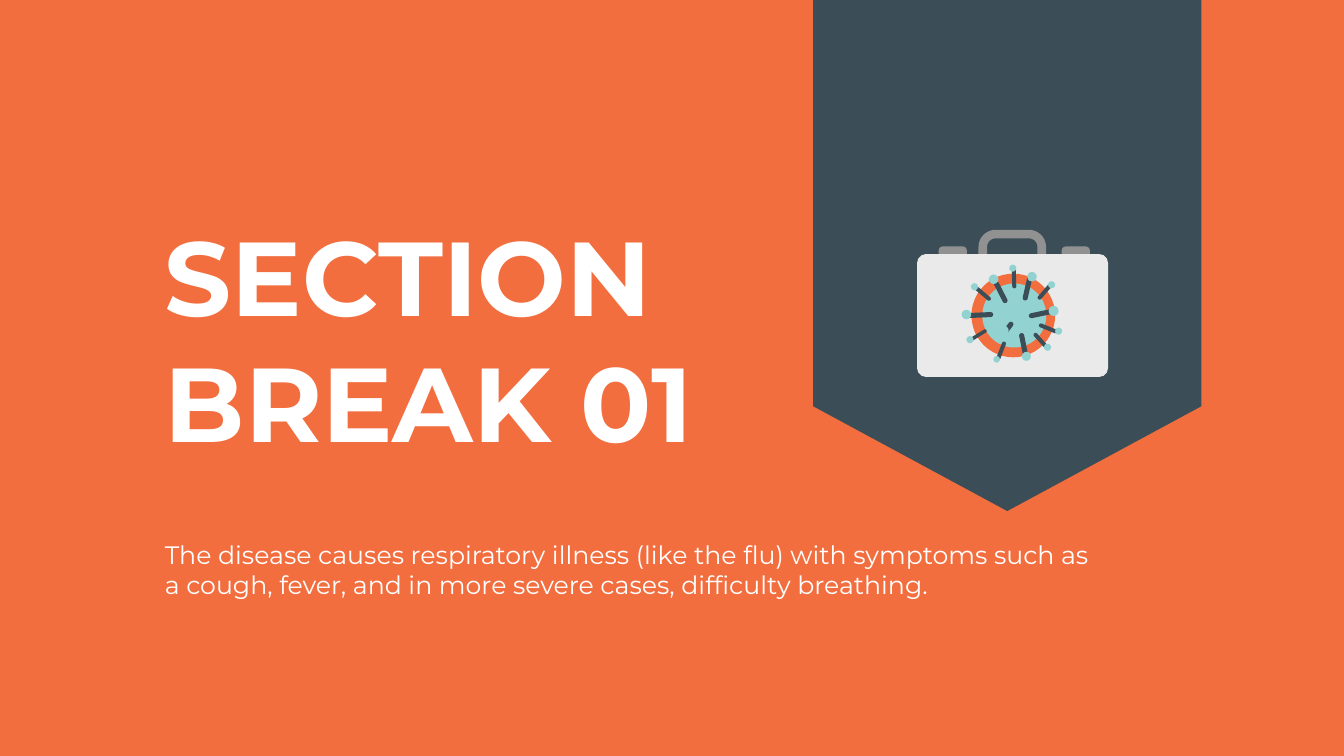
from math import atan2, cos, degrees, hypot, radians, sin

from pptx import Presentation
from pptx.dml.color import RGBColor
from pptx.enum.shapes import MSO_SHAPE as Shape
from pptx.enum.text import MSO_ANCHOR as Anchor, PP_ALIGN as Align
from pptx.util import Inches, Pt

COLORS = {
    "orange": "F36E3F",
    "slate": "3B4D56",
    "gray": "919191",
    "case": "EAEAEA",
    "teal": "92D2D1",
    "white": "FFFFFF",
}
FONT = "Montserrat"

TITLE = ["SECTION", "BREAK 01"]
BODY = [
    "The disease causes respiratory illness (like the flu) with symptoms such as",
    "a cough, fever, and in more severe cases, difficulty breathing.",
]

# Left, top, width, height, corner radius, colour
CASE_PARTS = [
    (18.62, 4.89, 0.56, 0.36, 0.08, "gray"),
    (21.06, 4.89, 0.56, 0.36, 0.08, "gray"),
    (18.19, 5.04, 3.79, 2.44, 0.18, "case"),
]
# Centre x, centre y, outer radius, straight leg length, thickness
HANDLE = (20.08, 4.56, 0.67, 5.09, 0.17)

# Centre x, centre y, diameter, colour
VIRUS_BODY = [(20.1, 6.26, 1.66, "orange"), (20.12, 6.26, 1.27, "teal")]

# Inner end, outer end, thickness, tip centre, tip diameter
SPIKES = [
    ((20.33, 5.94), (20.43, 5.5), 0.1, (20.47, 5.49), 0.19),
    ((19.95, 5.99), (19.75, 5.6), 0.1, (19.71, 5.54), 0.19),
    ((20.26, 6.63), (20.35, 7.08), 0.1, (20.36, 7.07), 0.18),
    ((20.61, 5.92), (20.85, 5.64), 0.08, (20.86, 5.65), 0.14),
    ((20.12, 5.7), (20.11, 5.34), 0.08, (20.09, 5.32), 0.14),
    ((20.53, 6.63), (20.77, 6.9), 0.08, (20.78, 6.89), 0.14),
    ((20.63, 6.45), (20.95, 6.58), 0.08, (21, 6.57), 0.14),
    ((19.63, 5.94), (19.36, 5.71), 0.08, (19.33, 5.69), 0.14),
    ((19.55, 6.56), (19.26, 6.74), 0.07, (19.24, 6.74), 0.14),
    ((19.92, 6.8), (19.8, 7.12), 0.08, (19.77, 7.13), 0.13),
    ((19.68, 6.24), (19.23, 6.26), 0.1, (19.17, 6.24), 0.19),
    ((20.43, 6.27), (20.86, 6.18), 0.1, (20.9, 6.17), 0.2),
    ((20.07, 6.41), (19.92, 6.61), 0.1, (19.91, 6.56), 0.2),
]


def paint(shape, color):
    shape.fill.solid()
    shape.fill.fore_color.rgb = RGBColor.from_string(COLORS[color])
    shape.line.fill.background()
    shape.shadow.inherit = False


def add_preset(slide, kind, left, top, width, height, color):
    shape = slide.shapes.add_shape(
        kind, Inches(left), Inches(top), Inches(width), Inches(height))
    paint(shape, color)
    return shape


def add_rounded(slide, left, top, width, height, radius, color):
    shape = add_preset(slide, Shape.ROUNDED_RECTANGLE, left, top, width, height, color)
    shape.adjustments[0] = radius / min(width, height)
    return shape


def add_disc(slide, x, y, size, color):
    add_preset(slide, Shape.OVAL, x - size / 2, y - size / 2, size, size, color)


def add_spike(slide, inner, outer, thickness):
    """Draw a round-ended bar between two points."""
    dx, dy = outer[0] - inner[0], outer[1] - inner[1]
    length = hypot(dx, dy) + 0.04
    x, y = (inner[0] + outer[0]) / 2, (inner[1] + outer[1]) / 2
    bar = add_rounded(slide, x - length / 2, y - thickness / 2,
                      length, thickness, thickness / 2, "slate")
    bar.rotation = degrees(atan2(dy, dx))


def arch(x, top, half_width, bottom, radius):
    """Return the points of an arch with rounded shoulders, left to right."""
    points = [(x - half_width, bottom)]
    for side, start in ((-1, 180), (1, 270)):
        center = x + side * (half_width - radius)
        for angle in range(start, start + 91, 10):
            turn = radians(angle)
            points.append((center + radius * cos(turn),
                           top + radius + radius * sin(turn)))
    return points + [(x + half_width, bottom)]


def add_handle(slide, x, top, half_width, bottom, thickness):
    outer = arch(x, top, half_width, bottom, 2 * thickness)
    inner = arch(x, top + thickness, half_width - thickness, bottom, thickness)
    points = [(Inches(px), Inches(py)) for px, py in outer + inner[::-1]]
    builder = slide.shapes.build_freeform(*points[0])
    builder.add_line_segments(points[1:], close=True)
    paint(builder.convert_to_shape(), "gray")


def write(box, place, lines, size, bold):
    box.left, box.top, box.width, box.height = (Inches(value) for value in place)
    frame = box.text_frame
    frame.word_wrap = True
    frame.vertical_anchor = Anchor.TOP
    frame.text = "\n".join(lines)
    for para in frame.paragraphs:
        para.alignment = Align.LEFT
        for span in para.runs:
            span.font.name = FONT
            span.font.size = Pt(size)
            span.font.bold = bold
            span.font.color.rgb = RGBColor.from_string(COLORS["white"])


def main():
    deck = Presentation()
    deck.slide_width, deck.slide_height = Inches(26.66), Inches(15)
    slide = deck.slides.add_slide(deck.slide_layouts[5])
    background = slide.background.fill
    background.solid()
    background.fore_color.rgb = RGBColor.from_string(COLORS["orange"])

    body = slide.shapes.add_textbox(0, 0, 0, 0)
    write(body, (3.17, 10.65, 19.05, 1.92), BODY, 36, False)
    write(slide.shapes.title, (3.17, 4.15, 12.38, 5.15), TITLE, 150, True)

    banner = add_preset(slide, Shape.PENTAGON, 14.91, 1.22, 10.14, 7.7, "slate")
    banner.rotation = 90
    banner.adjustments[0] = 0.27

    add_handle(slide, *HANDLE)
    for part in CASE_PARTS:
        add_rounded(slide, *part)
    for disc in VIRUS_BODY:
        add_disc(slide, *disc)
    for inner, outer, thickness, _, _ in SPIKES:
        add_spike(slide, inner, outer, thickness)
    for *_, tip, size in SPIKES:
        add_disc(slide, *tip, size, "teal")

    deck.save("out.pptx")


if __name__ == "__main__":
    main()
